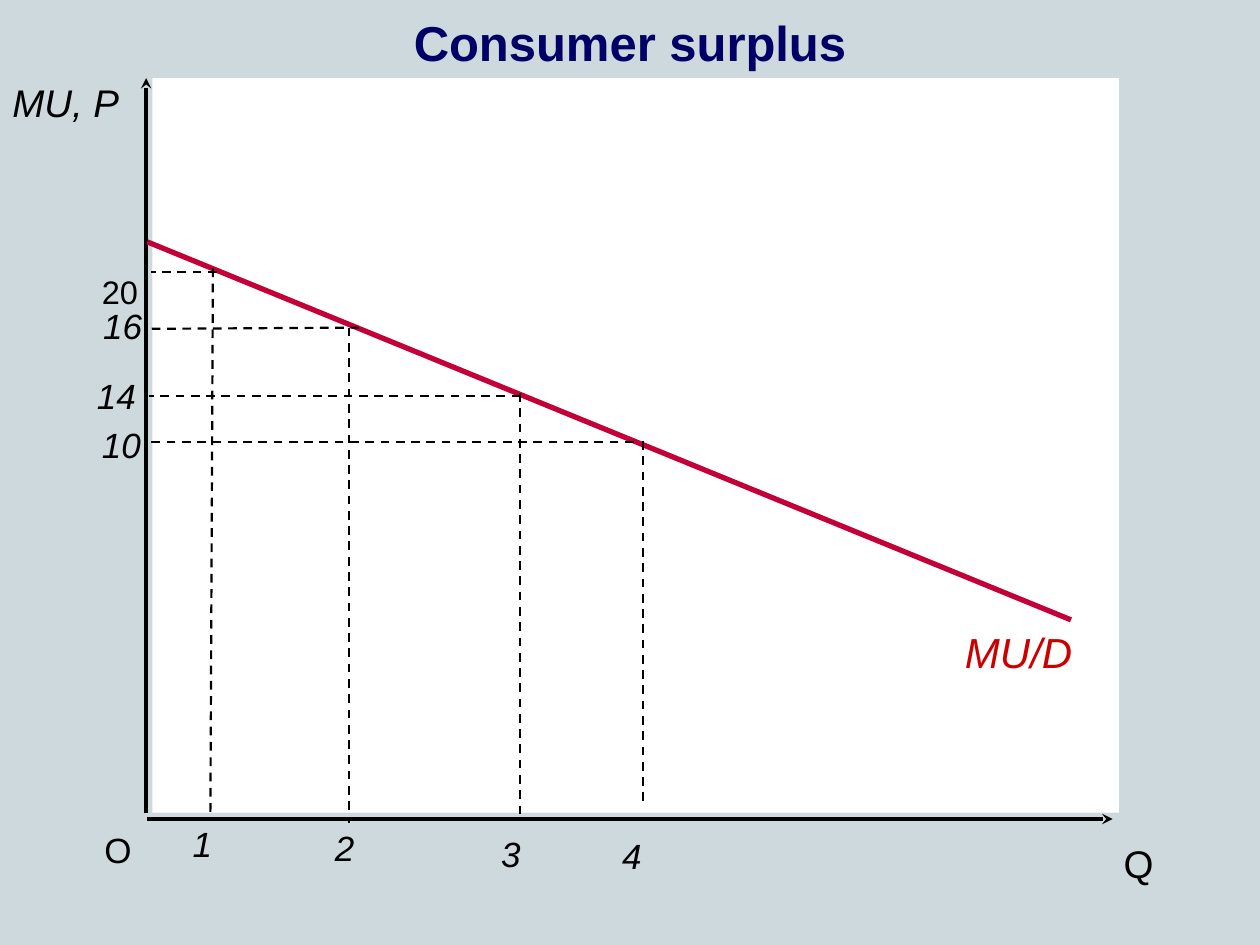
from dataclasses import dataclass
from typing import Optional

import pptx
import pptx.dml.color
import pptx.enum.dml
import pptx.enum.shapes
import pptx.enum.text
import pptx.oxml
import pptx.oxml.ns
import pptx.util
from lxml import etree

RGBColor = pptx.dml.color.RGBColor
BACKGROUND = RGBColor(0xCE, 0xD9, 0xDE)
WHITE = RGBColor(0xFF, 0xFF, 0xFF)
BLACK = RGBColor(0x00, 0x00, 0x00)
NAVY = RGBColor(0x00, 0x00, 0x66)
RED = RGBColor(0xCC, 0x00, 0x00)
CRIMSON = RGBColor(0xC4, 0x00, 0x38)
FONT = "Arial"

# Places are counted on a grid of 100 columns by 75 rows.
WIDTH, HEIGHT = pptx.util.Inches(10), pptx.util.Inches(7.5)
COL, ROW = WIDTH / 100, HEIGHT / 75

SHADOW = (
    '<a:effectLst xmlns:a="http://schemas.openxmlformats.org/drawingml/2006/main">'
    '<a:outerShdw dist="35921" dir="2700000" algn="ctr" rotWithShape="0">'
    '<a:srgbClr val="000000"/></a:outerShdw></a:effectLst>'
)


@dataclass
class Line:
    x1: float
    y1: float
    x2: float
    y2: float
    color: RGBColor = BLACK
    weight: float = 1.25
    dashed: bool = False
    arrow: Optional[str] = None


@dataclass
class Label:
    text: str
    x: float
    y: float
    w: float
    h: float = 4.4
    size: float = 20
    color: RGBColor = BLACK
    italic: bool = True
    wrap: bool = False
    baseline: int = 0


@dataclass
class Guide:
    """Dashed lines from a point of the curve to both axes."""
    price_line: tuple
    quantity_line: tuple


AXES_AND_CURVE = [
    Line(11.7, 65, 88.3, 65, weight=2, arrow="tailEnd"),
    Line(11.6, 6.2, 11.6, 64.5, weight=2, arrow="headEnd"),
    Line(11.7, 19.2, 85, 49.2, color=CRIMSON, weight=3),
]
GUIDES = [
    Guide((17.2, 21.6, 12, 21.6), (16.9, 21.3, 16.7, 64.7)),
    Guide((28.5, 26, 11.8, 26.1), (27.7, 26, 27.7, 65.3)),
    Guide((41.3, 31.4, 11.8, 31.4), (41.3, 31.2, 41.3, 65.1)),
    Guide((50.3, 35.1, 11.8, 35.1), (51, 35, 51, 64.1)),
]
LABELS = [
    Label("MU/D", 75.6, 49.2, 13.5, 5.1, size=24, color=RED, wrap=True),
    Label("MU, P", 0, 5.8, 10.5, 4.7, size=22),
    Label("Q", 88.2, 66.2, 4.4, 4.7, size=22, italic=False),
    Label("O", 7.3, 65.3, 4.2, 4.3, italic=False),
    Label("20", 7.1, 18.1, 5.4, 4.6, size=32, italic=False, baseline=-25000),
    Label("16", 7.2, 23.7, 5.2),
    Label("14", 6.7, 29.2, 5.2),
    Label("10", 7.1, 33.1, 5.2),
    Label("1", 14.3, 64.8, 3.6),
    Label("2", 25.6, 65.1, 3.6),
    Label("3", 38.8, 65.6, 3.6),
    Label("4", 48.4, 65.7, 3.6),
]


def place(x: float, y: float, w: float, h: float) -> tuple:
    """Turn columns and rows into lengths."""
    return round(x * COL), round(y * ROW), round(w * COL), round(h * ROW)


def write(tf, text: str, *, size: float, color: RGBColor, bold=False,
          italic=False, wrap=False, baseline=0, shadow=False, align=None):
    tf.word_wrap = wrap
    tf.auto_size = pptx.enum.text.MSO_AUTO_SIZE.NONE
    tf.vertical_anchor = pptx.enum.text.MSO_ANCHOR.TOP
    p = tf.paragraphs[0]
    p.alignment = align
    r = p.add_run()
    r.text = text
    r.font.name = FONT
    r.font.size = pptx.util.Pt(size)
    r.font.bold = bold
    r.font.italic = italic
    r.font.color.rgb = color
    props = r.font._element
    if baseline:
        props.set("baseline", str(baseline))
    if shadow:
        props.find(pptx.oxml.ns.qn("a:solidFill")).addnext(pptx.oxml.parse_xml(SHADOW))


def draw_line(s, line: Line) -> None:
    x1, y1, x2, y2 = place(line.x1, line.y1, line.x2, line.y2)
    c = s.shapes.add_connector(pptx.enum.shapes.MSO_CONNECTOR.STRAIGHT, x1, y1, x2, y2)
    c.line.color.rgb = line.color
    c.line.width = pptx.util.Pt(line.weight)
    if line.dashed:
        c.line.dash_style = pptx.enum.dml.MSO_LINE.DASH
    if line.arrow:
        etree.SubElement(c.line._get_or_add_ln(), pptx.oxml.ns.qn(f"a:{line.arrow}"),
                         type="stealth")
    etree.SubElement(c._element.spPr, pptx.oxml.ns.qn("a:effectLst"))


def draw_label(s, label: Label) -> None:
    sp = s.shapes.add_textbox(*place(label.x, label.y, label.w, label.h))
    write(sp.text_frame, label.text, size=label.size, color=label.color,
          italic=label.italic, wrap=label.wrap, baseline=label.baseline)


def draw_title(s, text: str) -> None:
    sp = s.shapes.title
    sp.left, sp.top, sp.width, sp.height = place(0, 0.5, 100, 5.7)
    write(sp.text_frame, text, size=28, color=NAVY, bold=True, wrap=True,
          shadow=True, align=pptx.enum.text.PP_ALIGN.CENTER)


def draw_plot_area(s) -> None:
    sp = s.shapes.add_shape(pptx.enum.shapes.MSO_SHAPE.RECTANGLE,
                            *place(12.1, 6.2, 76.7, 58.3))
    sp.shadow.inherit = False
    sp.fill.solid()
    sp.fill.fore_color.rgb = WHITE
    sp.line.fill.background()


def main() -> None:
    prs = pptx.Presentation()
    prs.slide_width, prs.slide_height = WIDTH, HEIGHT
    s = prs.slides.add_slide(prs.slide_layouts.get_by_name("Title Only"))
    s.background.fill.solid()
    s.background.fill.fore_color.rgb = BACKGROUND
    draw_title(s, "Consumer surplus")
    draw_plot_area(s)
    for line in AXES_AND_CURVE:
        draw_line(s, line)
    for guide in GUIDES:
        for ends in (guide.price_line, guide.quantity_line):
            draw_line(s, Line(*ends, dashed=True))
    for label in LABELS:
        draw_label(s, label)
    prs.save("out.pptx")


if __name__ == "__main__":
    main()
